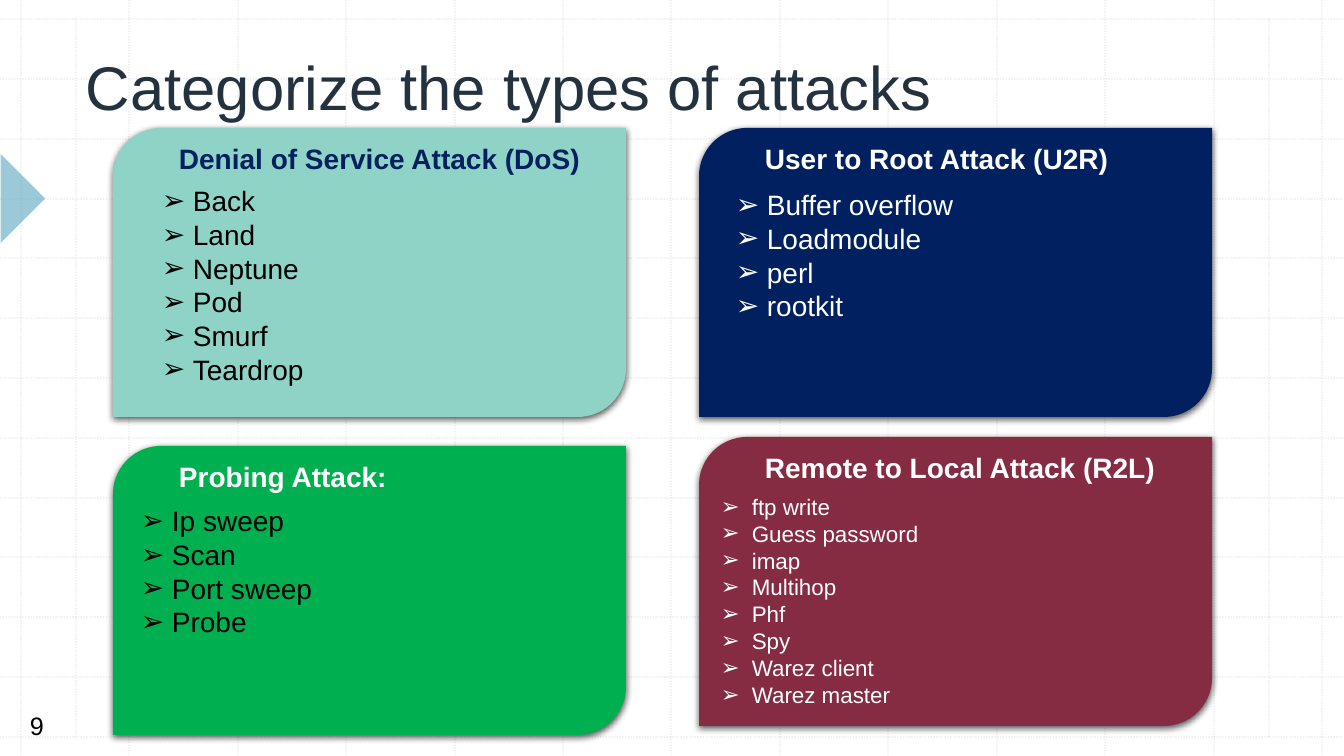
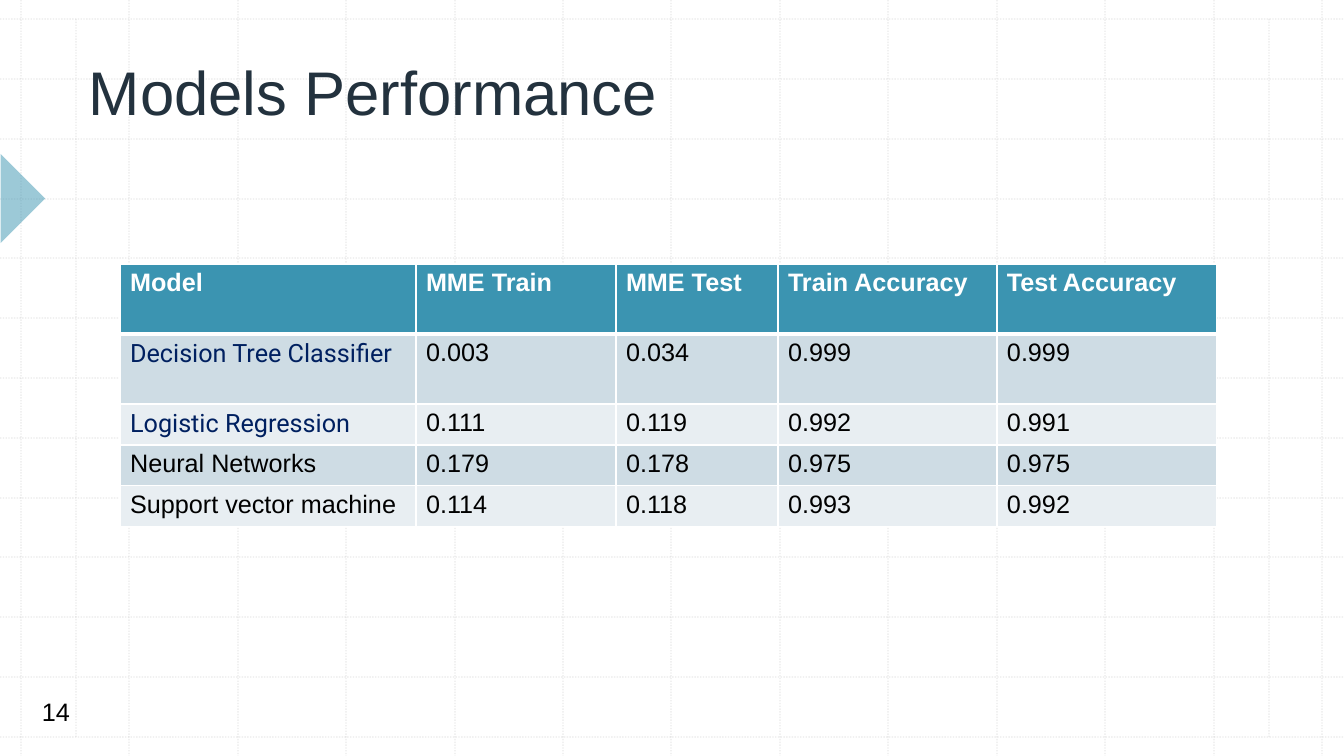
from lxml import etree
from pptx import Presentation
from pptx.dml.color import RGBColor
from pptx.enum.dml import MSO_LINE
from pptx.enum.shapes import MSO_CONNECTOR, MSO_SHAPE
from pptx.enum.text import MSO_ANCHOR
from pptx.oxml.ns import qn
from pptx.util import Pt

STRAIGHT = MSO_CONNECTOR.STRAIGHT
CARD_SHAPE = MSO_SHAPE.ROUND_2_DIAG_RECTANGLE
RIGHT_TRIANGLE = MSO_SHAPE.RIGHT_TRIANGLE
DOTTED = MSO_LINE.ROUND_DOT
TOP, BOTTOM = MSO_ANCHOR.TOP, MSO_ANCHOR.BOTTOM

EMU_PER_PX = 914400 / 100.8
PAGE_WIDTH, PAGE_HEIGHT = 1344, 756
BLANK_LAYOUT = 6
BODY_FONT, MODEL_FONT = "Arial", "Roboto"
BULLET_INDENT = 31

COLORS = {
    "grid": "BCBCBC",
    "accent": "3B94B1",
    "title": "23323E",
    "black": "000000",
    "white": "FFFFFF",
    "navy": "002060",
    "mint": "8FD3C7",
    "wine": "852C42",
    "green": "00B050",
    "band_dark": "CEDCE4",
    "band_light": "E8EEF2",
}

CARD_SIZE = (513, 289)
# position, fill, heading, heading colour, list offset, list colour, list size, items
CARDS = [
    ((113, 128), "mint", "Denial of Service Attack (DoS)", "navy", (39, 51), "black", 20,
     ["Back", "Land", "Neptune", "Pod", "Smurf", "Teardrop"]),
    ((699, 128), "navy", "User to Root Attack (U2R)", "white", (27, 55), "white", 20,
     ["Buffer overflow", "Loadmodule", "perl", "rootkit"]),
    ((699, 437), "wine", "Remote to Local Attack (R2L)", "white", (12, 51), "white", 16,
     ["ftp write", "Guess password", "imap", "Multihop", "Phf", "Spy",
      "Warez client", "Warez master"]),
    ((113, 446), "green", "Probing Attack:", "white", (18, 53), "black", 20,
     ["Ip sweep", "Scan", "Port sweep", "Probe"]),
]

COLUMN_WIDTHS = [296, 200, 162, 219, 220]
ROW_HEIGHTS = [70, 70, 41, 41, 41]
MODEL_ROWS = [
    ["Model", "MME Train", "MME Test", "Train Accuracy", "Test Accuracy"],
    ["Decision Tree Classifier", "0.003", "0.034", "0.999", "0.999"],
    ["Logistic Regression", "0.111", "0.119", "0.992", "0.991"],
    ["Neural Networks", "0.179", "0.178", "0.975", "0.975"],
    ["Support vector machine", "0.114", "0.118", "0.993", "0.992"],
]
CLASSIC_MODELS = ("Decision Tree Classifier", "Logistic Regression")


def px(length):
    return round(length * EMU_PER_PX)


def emu(*lengths):
    return [px(length) for length in lengths]


def rgb(name):
    return RGBColor.from_string(COLORS[name])


def add_node(parent, tag, **attributes):
    return etree.SubElement(parent, qn(tag), attributes)


def set_alpha(shape, percent):
    """Make every colour set so far on the shape translucent."""
    for color in shape._element.spPr.iter(qn("a:srgbClr")):
        add_node(color, "a:alpha", val=str(percent * 1000))


def fill_solid(target, color):
    target.fill.solid()
    target.fill.fore_color.rgb = rgb(color)


def style_runs(text_frame, size, color, bold=False, font=BODY_FONT):
    for para in text_frame.paragraphs:
        for span in para.runs:
            span.font.name = font
            span.font.size = Pt(size)
            span.font.bold = bold
            span.font.color.rgb = rgb(color)


def add_text(page, box, text, size, color, bold=False, anchor=TOP):
    frame = page.shapes.add_textbox(*emu(*box)).text_frame
    frame.word_wrap = True
    frame.vertical_anchor = anchor
    frame.text = text
    style_runs(frame, size, color, bold)
    return frame


def add_bullets(page, box, items, size, color):
    frame = add_text(page, box, "\n".join(items), size, color)
    for para in frame.paragraphs:
        properties = para._p.get_or_add_pPr()
        properties.set("marL", str(px(BULLET_INDENT)))
        properties.set("indent", str(-px(BULLET_INDENT)))
        add_node(properties, "a:buFont", typeface=BODY_FONT)
        add_node(properties, "a:buChar", char="➢")


def add_grid_line(page, start, end):
    line = page.shapes.add_connector(STRAIGHT, *emu(*start, *end))
    line.line.color.rgb = rgb("grid")
    line.line.width = Pt(1)
    line.line.dash_style = DOTTED
    set_alpha(line, 30)
    add_node(line._element.spPr, "a:effectLst")


def add_grid(page):
    steps = 12
    first_x, last_x = 21, 1322
    top, bottom = 19, 737
    for step in range(steps + 1):
        x = first_x + round((last_x - first_x) * step / steps)
        y = top + round((bottom - top) * step / steps)
        add_grid_line(page, (x, 0), (x, PAGE_HEIGHT))
        add_grid_line(page, (0, y), (PAGE_WIDTH, y))
    for margin_x in (76, 1269):
        add_grid_line(page, (margin_x, top), (margin_x, bottom))


def add_side_arrow(page):
    arrow = page.shapes.add_shape(RIGHT_TRIANGLE, *emu(-31, 167, 63, 63))
    arrow.rotation = 225
    arrow.shadow.inherit = False
    fill_solid(arrow, "accent")
    arrow.line.fill.background()
    set_alpha(arrow, 50)


def add_page(deck, title, title_box, number, number_box):
    """Add a page with the shared grid, side arrow, title and page number."""
    page = deck.slides.add_slide(deck.slide_layouts[BLANK_LAYOUT])
    add_grid(page)
    add_side_arrow(page)
    add_text(page, title_box, title, 44, "title", anchor=BOTTOM)
    add_text(page, number_box, number, 18, "black")
    return page


def add_drop_shadow(shape):
    shape.shadow.inherit = False
    effects = shape._element.spPr.find(qn("a:effectLst"))
    shadow = add_node(effects, "a:outerShdw", blurRad=str(Pt(4.5)), dist=str(Pt(1.5)),
                      dir="5400000", algn="ctr", rotWithShape="0")
    color = add_node(shadow, "a:srgbClr", val=COLORS["black"])
    add_node(color, "a:alpha", val="63000")


def add_card(page, box, fill, heading, heading_color, list_offset, list_color, size, items):
    left, top, width, height = box
    card = page.shapes.add_shape(CARD_SHAPE, *emu(*box))
    fill_solid(card, fill)
    card.line.fill.background()
    add_drop_shadow(card)
    add_text(page, (left + 56, top + 9, width, 44), heading, 20, heading_color, bold=True)
    shift_x, shift_y = list_offset
    list_box = (left + shift_x, top + shift_y, 329, height - shift_y)
    add_bullets(page, list_box, items, size, list_color)


def set_borders(cell, top_width, bottom_width):
    properties = cell._tc.get_or_add_tcPr()
    widths = {"a:lnL": 1, "a:lnR": 1, "a:lnT": top_width, "a:lnB": bottom_width}
    for position, (tag, width) in enumerate(widths.items()):
        border = add_node(properties, tag, w=str(Pt(width)))
        add_node(add_node(border, "a:solidFill"), "a:srgbClr", val=COLORS["white"])
        properties.insert(position, border)


def style_cell(cell, row_index):
    is_header = row_index == 0
    if is_header:
        fill, color = "accent", "white"
    else:
        fill, color = ("band_dark" if row_index % 2 else "band_light"), "black"
    font = BODY_FONT
    if cell.text_frame.text in CLASSIC_MODELS:
        font, color = MODEL_FONT, "navy"
    style_runs(cell.text_frame, 18, color, is_header, font)
    fill_solid(cell, fill)
    set_borders(cell, 3 if row_index == 1 else 1, 3 if is_header else 1)


def add_model_table(page, left, top):
    size = (sum(COLUMN_WIDTHS), sum(ROW_HEIGHTS))
    frame = page.shapes.add_table(len(MODEL_ROWS), len(COLUMN_WIDTHS), *emu(left, top, *size))
    table = frame.table
    table.horz_banding = False
    for column, width in zip(table.columns, COLUMN_WIDTHS):
        column.width = px(width)
    for row_index, (row, height) in enumerate(zip(table.rows, ROW_HEIGHTS)):
        row.height = px(height)
        for cell, text in zip(row.cells, MODEL_ROWS[row_index]):
            cell.text_frame.text = text
            style_cell(cell, row_index)


def build_attacks_page(deck):
    page = add_page(deck, "Categorize the types of attacks", (76, 43, 1138, 85),
                    "9", (20, 705, 43, 40))
    for position, *content in CARDS:
        add_card(page, (*position, *CARD_SIZE), *content)


def build_performance_page(deck):
    page = add_page(deck, "Models Performance", (79, 46, 1138, 87),
                    "14", (32, 691, 67, 40))
    add_model_table(page, 120, 264)


def main():
    deck = Presentation()
    deck.slide_width, deck.slide_height = emu(PAGE_WIDTH, PAGE_HEIGHT)
    build_attacks_page(deck)
    build_performance_page(deck)
    deck.save("out.pptx")


if __name__ == "__main__":
    main()
